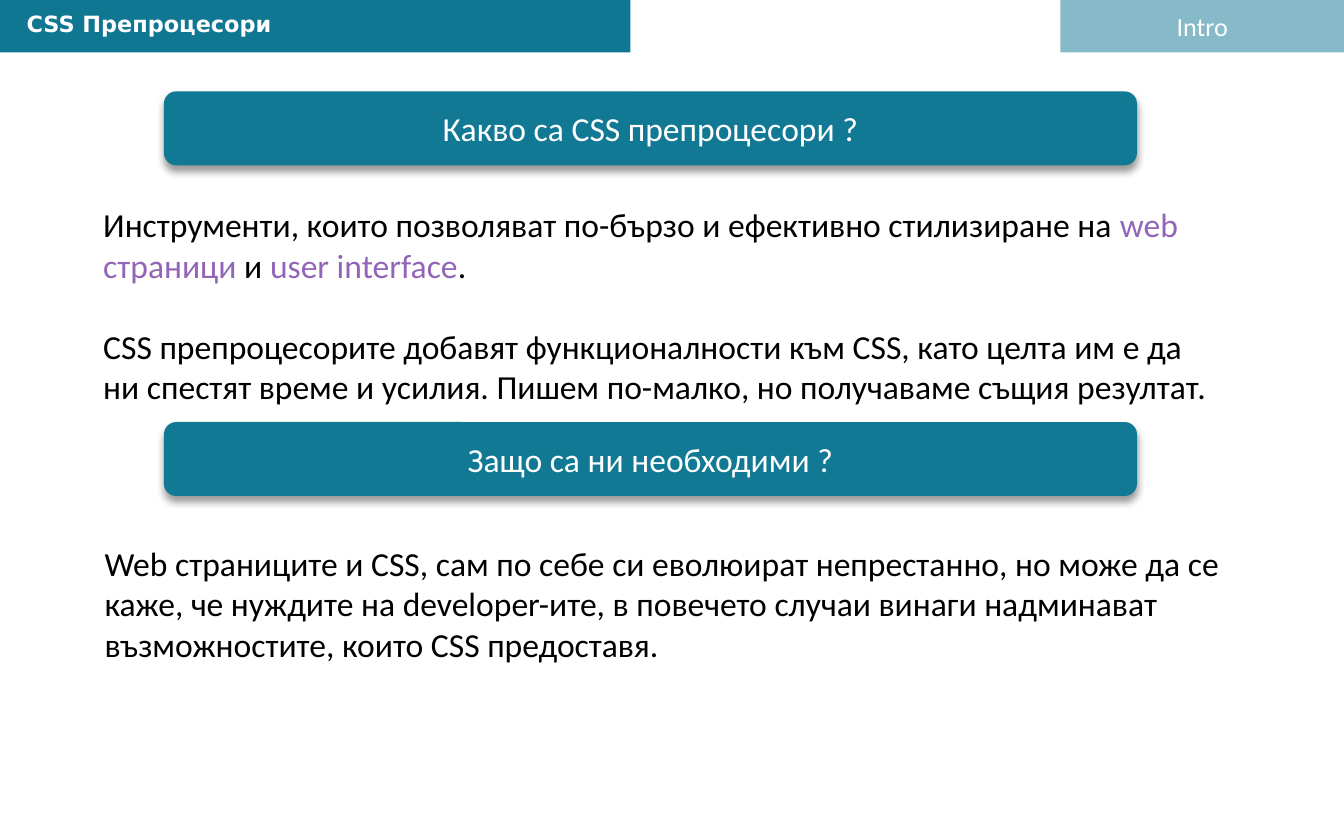
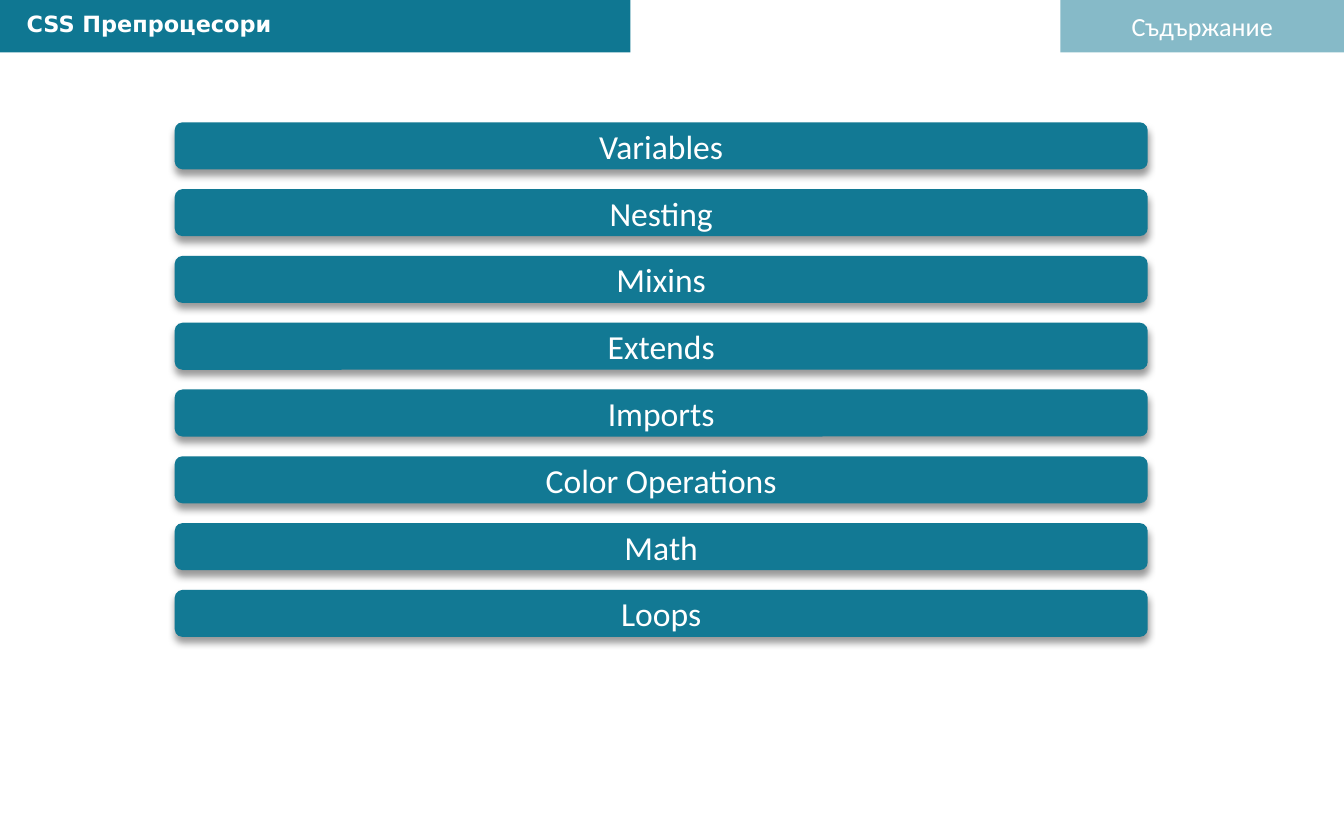
from lxml import etree
from pptx import Presentation
from pptx.dml.color import RGBColor
from pptx.enum import shapes, text
from pptx.oxml import ns
from pptx.util import Inches, Pt

TEAL = RGBColor(0x0F, 0x77, 0x92)
BUTTON_TEAL = RGBColor(0x12, 0x79, 0x94)
PURPLE = RGBColor(0x93, 0x65, 0xB8)
BLACK = RGBColor(0, 0, 0)
WHITE = RGBColor(255, 255, 255)
BODY_FONT, TITLE_FONT = "Calibri", "DejaVu Sans"

# Content: body paragraphs are lists of (text, colour) runs
DECK_TITLE = "CSS Препроцесори"
INTRO_TAB, CONTENTS_TAB = "Intro", "Съдържание"
BUTTON_WIDTH = 7.24
QUESTIONS = [  # text, top
    ("Какво са CSS препроцесори ?", 0.68),
    ("Защо са ни необходими ?", 3.14),
]
ANSWERS = [  # left, top, height, paragraphs
    (0.67, 1.47, 2.22, [
        [("Инструменти, които позволяват по-бързо и ефективно стилизиране на ", BLACK),
         ("web страници", PURPLE), (" и ", BLACK),
         ("user interface", PURPLE), (".", BLACK)],
        [("CSS препроцесорите добавят функционалности към CSS, като целта им е да "
          "ни спестят време и усилия. Пишем по-малко, но получаваме същия резултат.", BLACK)],
    ]),
    (0.68, 3.99, 1.01, [
        [("Web страниците и CSS, сам по себе си еволюират непрестанно, но може да се "
          "каже, че нуждите на developer-ите, в повечето случаи винаги надминават "
          "възможностите, които CSS предоставя.", BLACK)],
    ]),
]
TOPICS = ["Variables", "Nesting", "Mixins", "Extends",
          "Imports", "Color Operations", "Math", "Loops"]
TOPICS_TOP, TOPIC_STEP = 0.91, 0.497


def style_run(run, size, color, font=BODY_FONT, bold=False):
    run.font.name = font
    run.font.size = Pt(size)
    run.font.bold = bold
    run.font.color.rgb = color


def add_block(slide, kind, box, fill, label="", size=18):
    """Filled shape without outline, with an optional centred label."""
    shape = slide.shapes.add_shape(kind, *map(Inches, box))
    shape.shadow.inherit = False
    shape.fill.solid()
    shape.fill.fore_color.rgb = fill
    shape.line.fill.background()
    if label:
        frame = shape.text_frame
        frame.text = label
        frame.vertical_anchor = text.MSO_ANCHOR.MIDDLE
        paragraph = frame.paragraphs[0]
        paragraph.alignment = text.PP_ALIGN.CENTER
        style_run(paragraph.runs[0], size, WHITE)
    return shape


def add_text(slide, box):
    frame = slide.shapes.add_textbox(*map(Inches, box)).text_frame
    frame.word_wrap = True
    return frame


def set_alpha(color_element, percent):
    etree.SubElement(color_element, ns.qn("a:alpha"), val=str(percent * 1000))


def add_button(slide, label, left, top, height):
    """Rounded bar with a soft shadow straight below."""
    shape = add_block(slide, shapes.MSO_SHAPE.ROUNDED_RECTANGLE,
                      (left, top, BUTTON_WIDTH, height), BUTTON_TEAL, label)
    effects = shape._element.spPr.find(ns.qn("a:effectLst"))
    shadow = etree.SubElement(effects, ns.qn("a:outerShdw"), blurRad=str(Pt(4)),
                              dist=str(Pt(3)), dir="5400000", rotWithShape="0")
    set_alpha(etree.SubElement(shadow, ns.qn("a:srgbClr"), val="000000"), 40)


def add_slide(presentation, tab_label):
    """Blank slide with the title band and the section tab."""
    slide = presentation.slides.add_slide(presentation.slide_layouts[6])
    rectangle = shapes.MSO_SHAPE.RECTANGLE
    tab = add_block(slide, rectangle, (7.89, 0, 2.11, 0.39), TEAL, tab_label, 14)
    set_alpha(tab._element.spPr.find(".//" + ns.qn("a:srgbClr")), 50)
    add_block(slide, rectangle, (0, 0, 4.69, 0.39), TEAL)
    title = add_text(slide, (0.1, 0.03, 4.51, 0.3))
    title.text = DECK_TITLE
    style_run(title.paragraphs[0].runs[0], 12, WHITE, TITLE_FONT, bold=True)
    return slide


def add_answer(slide, left, top, height, paragraphs):
    frame = add_text(slide, (left, top, 8.5, height))
    for index, runs in enumerate(paragraphs):
        paragraph = frame.add_paragraph() if index else frame.paragraphs[0]
        if index:
            paragraph.space_before = Pt(22)
        for words, color in runs:
            run = paragraph.add_run()
            run.text = words
            style_run(run, 18, color)


def main():
    presentation = Presentation()
    presentation.slide_width = Inches(10)
    presentation.slide_height = Inches(6.25)

    # Introduction: each question with its answer
    intro = add_slide(presentation, INTRO_TAB)
    for (question, top), answer in zip(QUESTIONS, ANSWERS):
        add_button(intro, question, 1.22, top, 0.55)
        add_answer(intro, *answer)

    # Contents: evenly spaced topics
    contents = add_slide(presentation, CONTENTS_TAB)
    for index, topic in enumerate(TOPICS):
        add_button(contents, topic, 1.3, TOPICS_TOP + index * TOPIC_STEP, 0.35)

    presentation.save("out.pptx")


if __name__ == "__main__":
    main()
